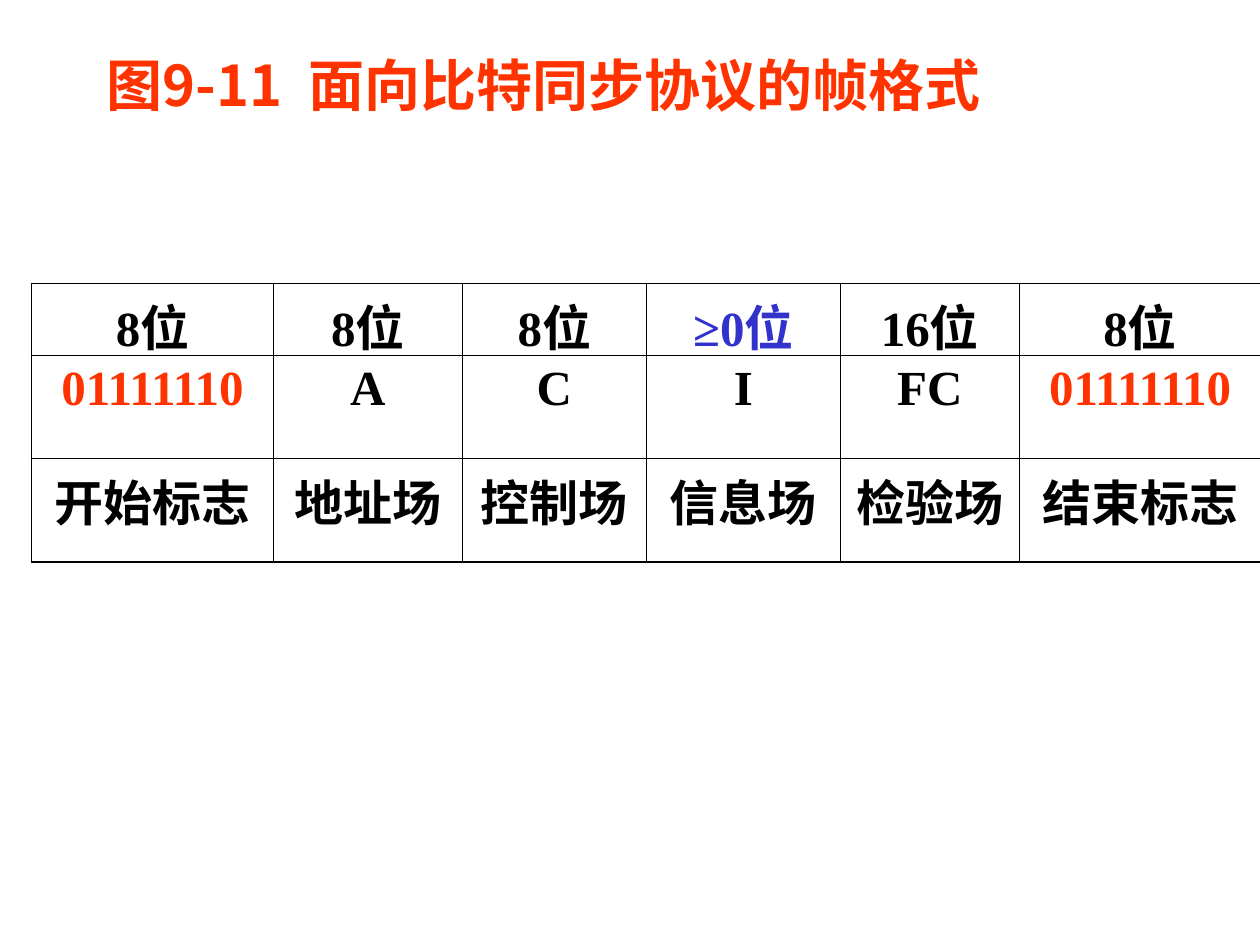
from pptx import Presentation
from pptx.dml.color import RGBColor as RGB
from pptx.enum.text import MSO_ANCHOR as Anchor, PP_ALIGN as Align
from pptx.oxml.ns import qn
from pptx.util import Pt
from lxml.etree import SubElement as Sub

RED = RGB(0xFF, 0x33, 0x00)
BLUE = RGB(0x33, 0x33, 0xCC)
BLACK = RGB(0, 0, 0)
SANS = "Noto Sans CJK SC"
SERIF = "Times New Roman"

THIN, THICK = 0.45, 1.08
COLS = [138.24, 108, 105.12, 110.88, 102.24, 138.24]
ROWS = [41, 59, 59]
FRAME = [
    ["8位", "8位", "8位", "≥0位", "16位", "8位"],
    ["01111110", "A", "C", "I", "FC", "01111110"],
    ["开始标志", "地址场", "控制场", "信息场", "检验场", "结束标志"],
]
HUES = {"01111110": RED, "≥0位": BLUE}


def write(frame, text, size=28, font=SERIF, color=BLACK, align=Align.LEFT):
    para = frame.paragraphs[0]
    para.alignment = align
    run = para.add_run()
    run.text = text
    run.font.size = Pt(size)
    run.font.bold = True
    run.font.name = font
    run.font.color.rgb = color
    Sub(run.font._element, qn("a:ea"), typeface=SANS)


def edge(cell, side, width):
    """Draw one border of a cell; side is L, R, T or B."""
    props = cell._tc.get_or_add_tcPr()
    line = Sub(props, qn(f"a:ln{side}"), w=str(int(Pt(width))))
    fill = Sub(line, qn("a:solidFill"))
    Sub(fill, qn("a:srgbClr"), val=str(BLACK))


def add_title(slide, text):
    box = slide.shapes.add_textbox(Pt(54), Pt(24), Pt(534), Pt(48))
    frame = box.text_frame
    frame.word_wrap = True
    frame.vertical_anchor = Anchor.MIDDLE
    write(frame, text, size=32, font=SANS, color=RED)


def add_grid(slide):
    shape = slide.shapes.add_table(len(ROWS), len(COLS), Pt(18), Pt(162),
                                   Pt(sum(COLS)), Pt(sum(ROWS)))
    table = shape.table
    table.first_row = table.horz_banding = False
    for col, width in zip(table.columns, COLS):
        col.width = Pt(width)
    for row, height in zip(table.rows, ROWS):
        row.height = Pt(height)
    for r, texts in enumerate(FRAME):
        for c, text in enumerate(texts):
            cell = table.cell(r, c)
            write(cell.text_frame, text, align=Align.CENTER,
                  color=HUES.get(text, BLACK))
            outer = {"L": c == 0, "R": c == len(COLS) - 1,
                     "T": r == 0, "B": r == len(ROWS) - 1}
            for side, rim in outer.items():
                edge(cell, side, THICK if rim else THIN)
            cell.fill.background()


def main():
    deck = Presentation()
    deck.slide_width, deck.slide_height = Pt(720), Pt(540)
    slide = deck.slides.add_slide(deck.slide_layouts[6])
    add_title(slide, "图9-11  面向比特同步协议的帧格式")
    add_grid(slide)
    deck.save("out.pptx")


if __name__ == "__main__":
    main()
